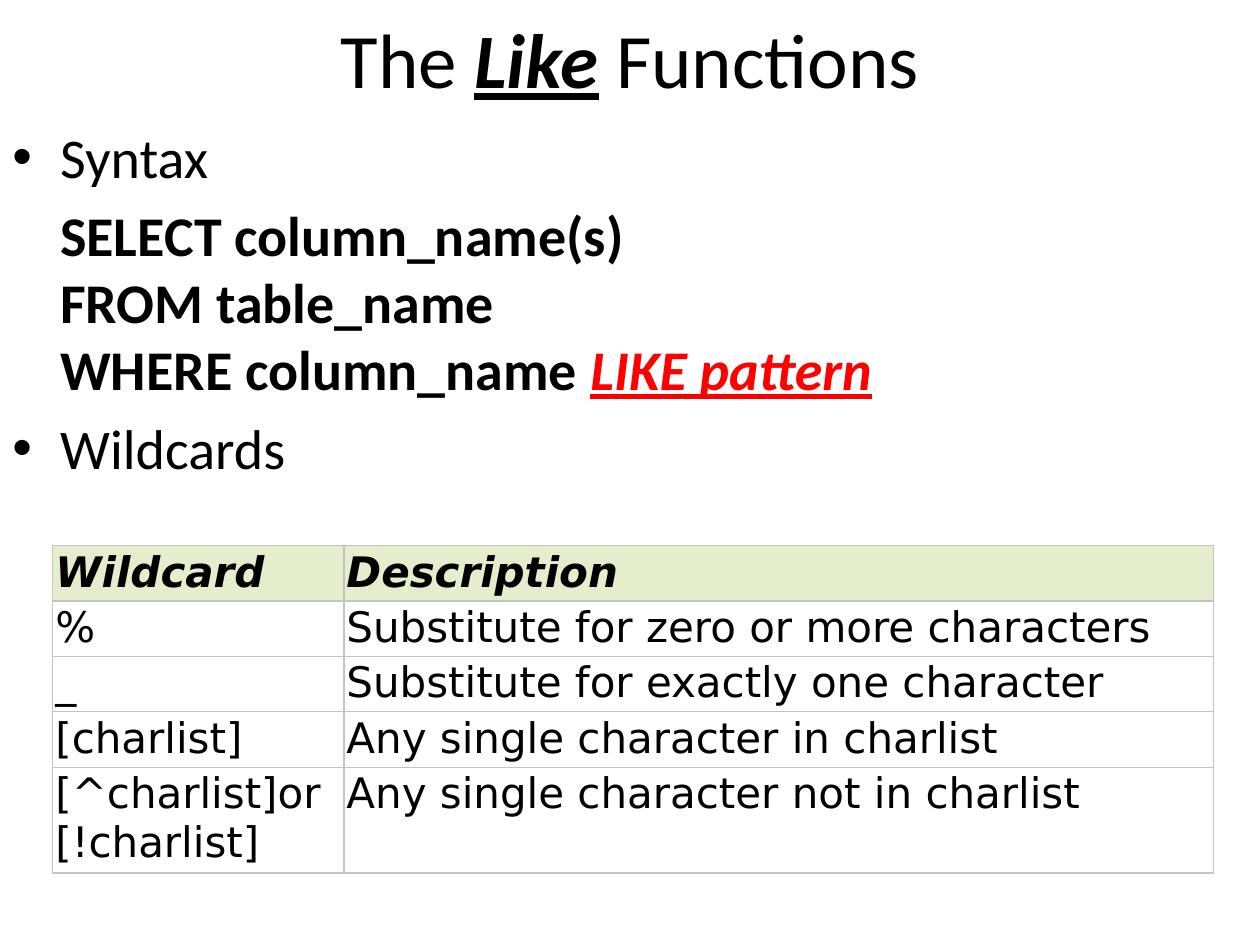
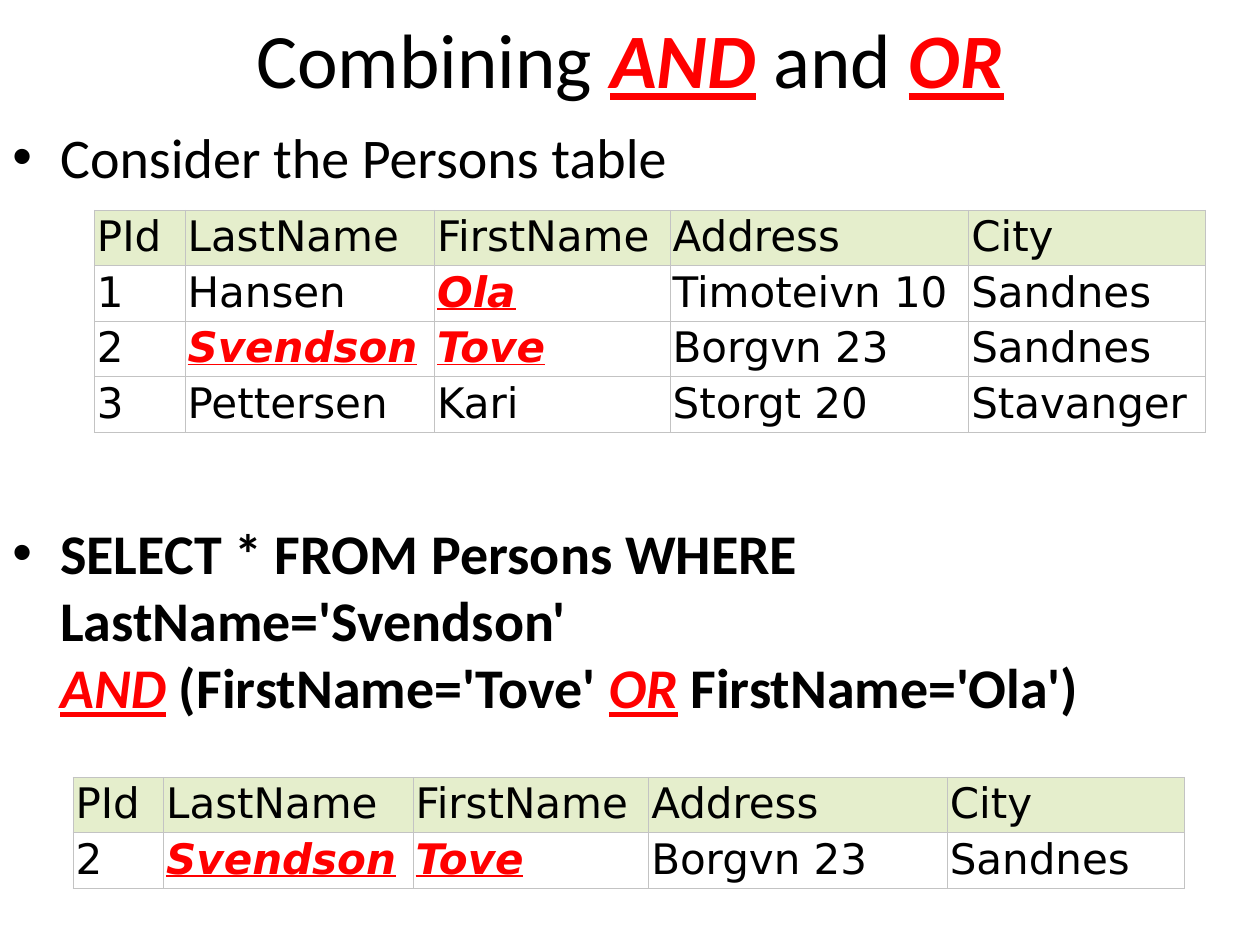
from collections import namedtuple

from lxml.etree import SubElement
from pptx import Presentation
from pptx.dml.color import RGBColor
from pptx.enum.text import MSO_ANCHOR, PP_ALIGN
from pptx.oxml.ns import qn
from pptx.util import Inches, Pt

BLACK, RED = "000000", "FF0000"
HEADER_FILL, ROW_FILL, BORDER = "E5EECC", "FFFFFF", "C3C3C3"
TEXT_FONT, TABLE_FONT = "Calibri", "DejaVu Sans"
TITLE_HEIGHT = 0.92
ROW_HEIGHT = 0.44

Style = namedtuple("Style", "color bold italic underline")
PLAIN = Style(BLACK, False, False, False)
BOLD = Style(BLACK, True, False, False)
HEADING = Style(BLACK, True, True, False)
STRESS = Style(BLACK, True, True, True)
KEYWORD = Style(RED, True, True, True)

Point = namedtuple("Point", "bullet gap spans")
Grid = namedtuple("Grid", "left top widths header_style rows")


def add_spans(para, spans, size, font):
    """Add styled runs to a paragraph; a newline in the text becomes a line break."""
    for text, style in spans:
        for number, line in enumerate(text.split("\n")):
            if number:
                para.add_line_break()
            if line:
                span = para.add_run()
                span.text = line
                span.font.name = font
                span.font.size = Pt(size)
                span.font.color.rgb = RGBColor.from_string(style.color)
                span.font.bold = style.bold
                span.font.italic = style.italic
                span.font.underline = style.underline


def add_text_box(page, top, height):
    """Add a full-width wrapping text box and return its text frame."""
    box = page.shapes.add_textbox(0, Inches(top), Inches(10), Inches(height))
    box.text_frame.word_wrap = True
    return box.text_frame


person_widths = [0.72, 1.98, 1.87, 2.37, 1.88]
person_header = ["PId", "LastName", "FirstName", "Address", "City"]
svendson = ["2", ("Svendson", KEYWORD), ("Tove", KEYWORD), "Borgvn 23", "Sandnes"]

wildcard_grid = Grid(0.42, 4.33, [2.31, 6.9], HEADING, [
    ["Wildcard", "Description"],
    ["%", "Substitute for zero or more characters"],
    ["_", "Substitute for exactly one character"],
    ["[charlist]", "Any single character in charlist"],
    ["[^charlist]or\n[!charlist]", "Any single character not in charlist"],
])
persons_grid = Grid(0.75, 1.67, person_widths, PLAIN, [
    person_header,
    ["1", "Hansen", ("Ola", KEYWORD), "Timoteivn 10", "Sandnes"],
    svendson,
    ["3", "Pettersen", "Kari", "Storgt 20", "Stavanger"],
])
result_grid = Grid(0.58, 6.17, person_widths, PLAIN, [person_header, svendson])

pages = [
    (
        [("The ", PLAIN), ("Like", STRESS), (" Functions", PLAIN)],
        [
            Point(True, 0, [("Syntax", PLAIN)]),
            Point(False, 6.4, [
                ("SELECT column_name(s)\nFROM table_name\nWHERE column_name ", BOLD),
                ("LIKE pattern", KEYWORD),
            ]),
            Point(True, 6.4, [("Wildcards", PLAIN)]),
        ],
        [wildcard_grid],
    ),
    (
        [("Combining ", PLAIN), ("AND", KEYWORD), (" and ", PLAIN), ("OR", KEYWORD)],
        [
            Point(True, 0, [("Consider the Persons table", PLAIN)]),
            Point(True, 188, [
                ("SELECT * FROM Persons WHERE\nLastName='Svendson'\n", BOLD),
                ("AND", KEYWORD),
                (" (FirstName='Tove' ", BOLD),
                ("OR", KEYWORD),
                (" FirstName='Ola')", BOLD),
            ]),
        ],
        [persons_grid, result_grid],
    ),
]

deck = Presentation()
deck.slide_width, deck.slide_height = Inches(10), Inches(7.5)

for title, points, grids in pages:
    page = deck.slides.add_slide(deck.slide_layouts[6])

    title_frame = add_text_box(page, 0, TITLE_HEIGHT)
    title_frame.vertical_anchor = MSO_ANCHOR.MIDDLE
    title_frame.paragraphs[0].alignment = PP_ALIGN.CENTER
    add_spans(title_frame.paragraphs[0], title, 44, TEXT_FONT)

    body = add_text_box(page, TITLE_HEIGHT, 7.5 - TITLE_HEIGHT)
    for index, point in enumerate(points):
        para = body.add_paragraph() if index else body.paragraphs[0]
        para.space_before = Pt(point.gap)
        properties = para._p.get_or_add_pPr()
        properties.set("marL", str(Inches(0.38)))
        if point.bullet:
            properties.set("indent", str(Inches(-0.38)))
            SubElement(properties, qn("a:buFont"), typeface="Arial")
            SubElement(properties, qn("a:buChar"), char="•")
        add_spans(para, point.spans, 32, TEXT_FONT)

    for grid in grids:
        frame = page.shapes.add_table(
            len(grid.rows), len(grid.widths), Inches(grid.left), Inches(grid.top),
            Inches(sum(grid.widths)), Inches(ROW_HEIGHT * len(grid.rows)))
        table = frame.table
        table.first_row = table.horz_banding = False
        for column, width in zip(table.columns, grid.widths):
            column.width = Inches(width)
        for row_index, values in enumerate(grid.rows):
            lines = max(str(value).count("\\n") if isinstance(value, tuple)
                        else value.count("\n") for value in values)
            table.rows[row_index].height = Inches(ROW_HEIGHT + 0.39 * lines)
            for column_index, value in enumerate(values):
                cell = table.cell(row_index, column_index)
                cell.margin_left = cell.margin_right = Inches(0.02)
                cell.margin_top = cell.margin_bottom = Inches(0.02)
                for side in ("a:lnL", "a:lnR", "a:lnT", "a:lnB"):
                    line = SubElement(cell._tc.get_or_add_tcPr(), qn(side), w=str(Pt(0.75)))
                    paint = SubElement(line, qn("a:solidFill"))
                    SubElement(paint, qn("a:srgbClr"), val=BORDER)
                cell.fill.solid()
                cell.fill.fore_color.rgb = RGBColor.from_string(
                    ROW_FILL if row_index else HEADER_FILL)
                base_style = PLAIN if row_index else grid.header_style
                text, style = value if isinstance(value, tuple) else (value, base_style)
                for number, part in enumerate(text.split("\n")):
                    text_frame = cell.text_frame
                    para = text_frame.add_paragraph() if number else text_frame.paragraphs[0]
                    add_spans(para, [(part, style)], 24, TABLE_FONT)

deck.save("out.pptx")
